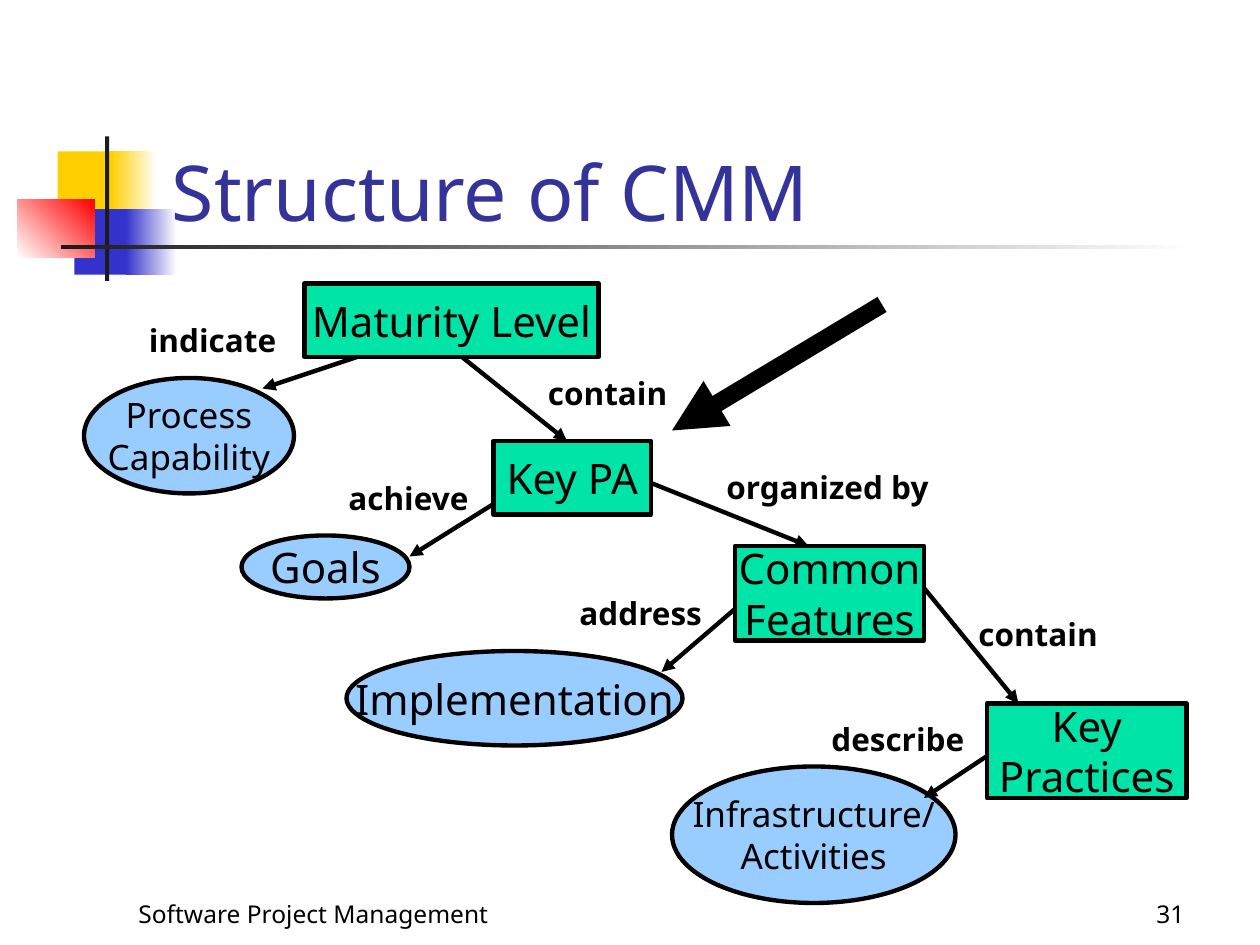
import pptx
import pptx.dml.color
import pptx.enum.shapes
import pptx.enum.text
import pptx.oxml
import pptx.oxml.ns
import pptx.util

Pt = pptx.util.Pt
Shape = pptx.enum.shapes.MSO_SHAPE
Anchor = pptx.enum.text.MSO_ANCHOR
Align = pptx.enum.text.PP_ALIGN
FONT = "Noto Sans"
BLACK, WHITE = "000000", "FFFFFF"
YELLOW, BLUE, RED, DARK = "FFCF01", "3333CC", "FF0000", "1C1C1C"
GREEN, SKY, NAVY = "00E4A8", "99CCFF", "333399"


def color(value):
    return pptx.dml.color.RGBColor.from_string(value)


def set_text(shape, text, size=18, fill=BLACK, bold=False, align=Align.LEFT,
             anchor=Anchor.TOP, wrap=True):
    frame = shape.text_frame
    frame.auto_size = pptx.enum.text.MSO_AUTO_SIZE.NONE
    frame.word_wrap = wrap
    frame.vertical_anchor = anchor
    frame.text = text
    for paragraph in frame.paragraphs:
        paragraph.alignment = align
        font = paragraph.runs[0].font
        font.name, font.size, font.bold = FONT, Pt(size), bold
        font.color.rgb = color(fill)


def add_label(slide, left, top, width, height, text, **text_format):
    shape = slide.shapes.add_textbox(Pt(left), Pt(top), Pt(width), Pt(height))
    set_text(shape, text, **text_format)


def add_block(slide, kind, left, top, width, height, fill, fade_to=None, angle=0):
    """Add a borderless shape with a solid fill or a two-colour gradient."""
    shape = slide.shapes.add_shape(kind, Pt(left), Pt(top), Pt(width), Pt(height))
    shape.shadow.inherit = False
    shape.line.fill.background()
    if fade_to:
        shape.fill.gradient()
        shape.fill.gradient_angle = angle
        for stop, value in zip(shape.fill.gradient_stops, (fill, fade_to)):
            stop.color.rgb = color(value)
            stop.position = 0 if value == fill else 1
    else:
        shape.fill.solid()
        shape.fill.fore_color.rgb = color(fill)
    return shape


def add_arrow(slide, x1, y1, x2, y2, weight=2.5):
    connector = slide.shapes.add_connector(
        pptx.enum.shapes.MSO_CONNECTOR.STRAIGHT, Pt(x1), Pt(y1), Pt(x2), Pt(y2))
    connector.line.color.rgb = color(BLACK)
    connector.line.width = Pt(weight)
    line = connector.line._get_or_add_ln()
    namespace = pptx.oxml.ns.nsdecls("a")
    line.append(pptx.oxml.parse_xml(f'<a:tailEnd {namespace} type="triangle"/>'))
    line.addnext(pptx.oxml.parse_xml(f"<a:effectLst {namespace}/>"))


def add_ornament(slide, left, top):
    blocks = [
        (23, 8.5, 35, 37.5, YELLOW),
        (53.5, 8.5, 26, 37.5, YELLOW, WHITE),
        (32.5, 41.5, 33, 37.5, BLUE),
        (62, 41.5, 29, 37.5, BLUE, WHITE),
        (0, 36, 44, 33, WHITE, RED, 45),
        (50, 0, 2.4, 82.5, DARK),
        (25, 62, 648, 2.6, DARK, WHITE),
    ]
    for x, y, *rest in blocks:
        add_block(slide, Shape.RECTANGLE, left + x, top + y, *rest)


def add_title(slide, left, top, width, height):
    title = slide.shapes.title
    title.left, title.top = Pt(left), Pt(top)
    title.width, title.height = Pt(width), Pt(height)
    set_text(title, "Structure of CMM", size=44, fill=NAVY, anchor=Anchor.BOTTOM)
    slide.shapes._spTree.append(title._element)  # in front of the ornament


def add_footer(slide, left, top, width, height):
    number_width = 150
    add_label(slide, left, top, 288, height, "Software Project Management",
              size=14, anchor=Anchor.BOTTOM)
    add_label(slide, left + width - number_width, top, number_width, height, "31",
              size=14, anchor=Anchor.BOTTOM, align=Align.RIGHT)


def add_diagram(slide, left, top):
    box, oval = Shape.FLOWCHART_PROCESS, Shape.OVAL
    nodes = [
        (box, 126, 0, 168, 42, "Maturity Level", 24),
        (box, 234, 90, 90, 42, "Key PA", 24),
        (box, 372, 150, 108, 54, "Common\nFeatures", 24),
        (box, 516, 240, 114, 54, "Key\nPractices", 24),
        (oval, 0, 54, 120, 66, "Process\nCapability", 20),
        (oval, 90, 144, 96, 36, "Goals", 24),
        (oval, 150, 210, 192, 54, "Implementation", 24),
        (oval, 336, 276, 162, 78, "Infrastructure/\nActivities", 20),
    ]
    for kind, x, y, width, height, text, size in nodes:
        node = add_block(slide, kind, left + x, top + y, width, height,
                         GREEN if kind == box else SKY)
        node.line.color.rgb = color(BLACK)
        node.line.width = Pt(2.5)
        set_text(node, text, size=size, align=Align.CENTER,
                 anchor=Anchor.MIDDLE, wrap=False)

    # Each relation: arrow start, arrow end, label position, label
    relations = [
        (216, 42, 276, 90, 258, 48, "contain"),
        (324, 114, 414, 150, 360, 102, "organized by"),
        (480, 174, 534, 240, 504, 186, "contain"),
        (156, 42, 102, 60, 30, 18, "indicate"),
        (234, 126, 186, 156, 144, 108, "achieve"),
        (372, 186, 330, 222, 276, 174, "address"),
        (516, 270, 480, 294, 420, 246, "describe"),
    ]
    for x1, y1, x2, y2, label_x, label_y, text in relations:
        add_arrow(slide, left + x1, top + y1, left + x2, top + y2)
        add_label(slide, left + label_x, top + label_y,
                  162 if " " in text else 109, 29, text, bold=True)

    # Heavy pointer to the key process areas
    add_arrow(slide, left + 456, top + 12, left + 336, top + 84, weight=10)


def main():
    presentation = pptx.Presentation()
    presentation.slide_width, presentation.slide_height = Pt(720), Pt(540)
    slide = presentation.slides.add_slide(presentation.slide_layouts[5])
    add_ornament(slide, 10, 78)
    add_footer(slide, 72, 498, 612, 36)
    add_title(slide, 91, 49, 613, 90)
    add_diagram(slide, 48, 162)
    presentation.save("out.pptx")


if __name__ == "__main__":
    main()
